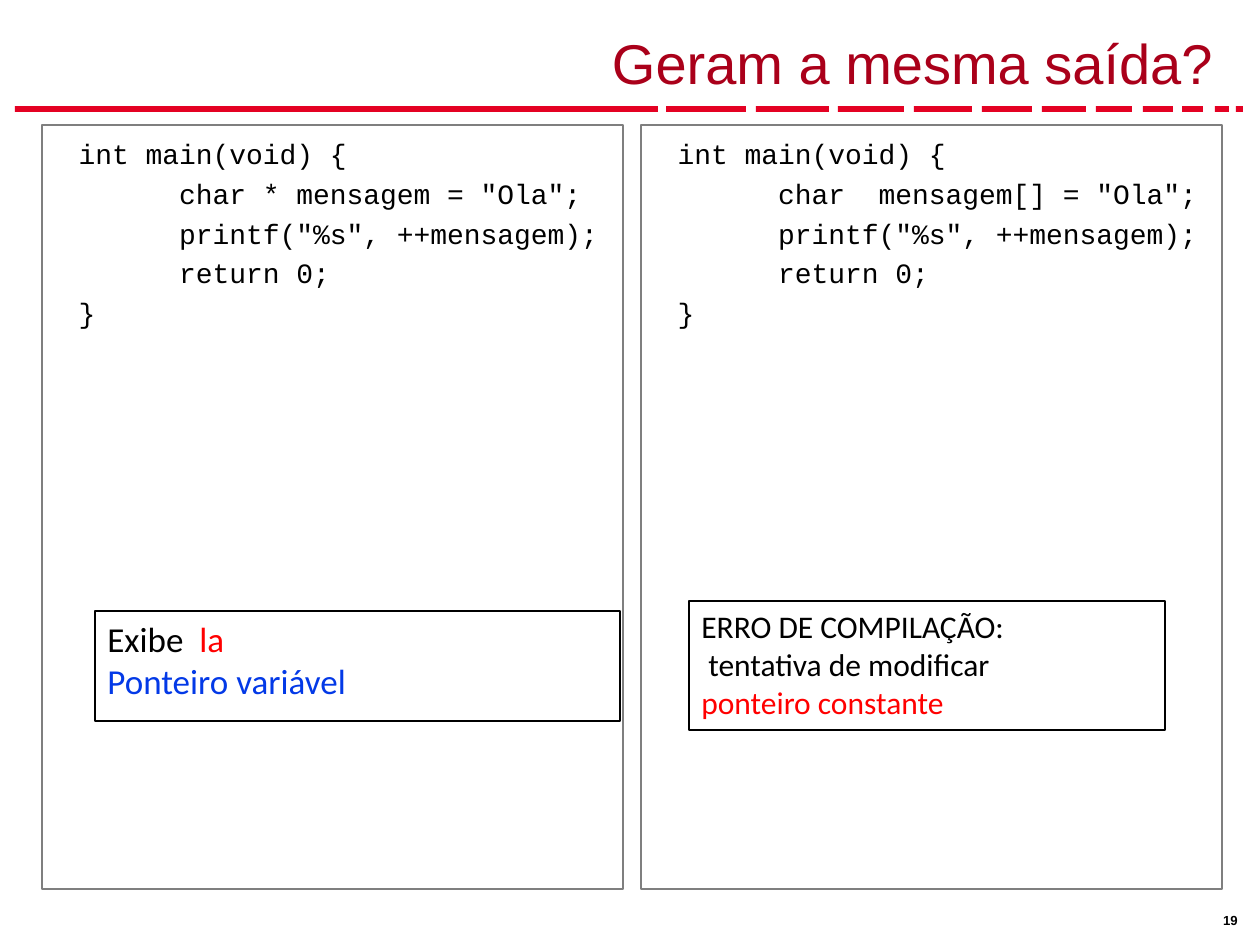
from dataclasses import dataclass

import lxml.etree
import pptx
import pptx.dml.color
import pptx.enum.shapes
import pptx.enum.text
import pptx.oxml.ns
import pptx.shapes.base
import pptx.slide
import pptx.text.text
import pptx.util

RGBColor = pptx.dml.color.RGBColor
BLACK = RGBColor(0x00, 0x00, 0x00)
WHITE = RGBColor(0xFF, 0xFF, 0xFF)
GRAY = RGBColor(0x7F, 0x7F, 0x7F)
RED = RGBColor(0xFF, 0x00, 0x00)
BLUE = RGBColor(0x03, 0x39, 0xE7)
RULE_RED = RGBColor(0xE4, 0x01, 0x23)
TITLE_RED = RGBColor(0xAA, 0x00, 0x1A)

PIXELS_PER_INCH = 126
RECTANGLE = pptx.enum.shapes.MSO_SHAPE.RECTANGLE


@dataclass(frozen=True)
class Box:
    left: int
    top: int
    width: int
    height: int


@dataclass(frozen=True)
class Run:
    text: str
    color: RGBColor = BLACK


@dataclass(frozen=True)
class Line:
    runs: tuple[Run, ...]
    indent: int = 0


@dataclass(frozen=True)
class Answer:
    box: Box
    size: int
    lines: tuple[Line, ...]


@dataclass(frozen=True)
class CodePanel:
    left: int
    declaration: str


RULE_TOP, RULE_HEIGHT = 106, 6
RULE_DASHES = (  # left, width
    (15, 643), (666, 80), (756, 73), (838, 66), (914, 58), (982, 50),
    (1042, 44), (1096, 36), (1143, 30), (1182, 21), (1215, 14), (1236, 7),
)

CODE_PANELS = (
    CodePanel(42, 'char * mensagem = "Ola";'),
    CodePanel(641, 'char  mensagem[] = "Ola";'),
)

ANSWERS = (
    Answer(Box(95, 611, 525, 110), 20, (
        Line((Run("Exibe  "), Run("la", RED))),
        Line((Run("Ponteiro variável", BLUE),)),
    )),
    Answer(Box(689, 601, 476, 129), 18, (
        Line((Run("ERRO DE COMPILAÇÃO:"),)),
        Line((Run("tentativa de modificar"),), indent=7),
        Line((Run("ponteiro constante", RED),)),
    )),
)


def px(pixels: int) -> int:
    return round(pixels * pptx.util.Inches(1) / PIXELS_PER_INCH)


def place(shape: pptx.shapes.base.BaseShape, box: Box) -> None:
    shape.left, shape.top = px(box.left), px(box.top)
    shape.width, shape.height = px(box.width), px(box.height)


def format_font(font: pptx.text.text.Font, name: str, size: float, color: RGBColor) -> None:
    font.name = name
    font.size = pptx.util.Pt(size)
    font.color.rgb = color


def set_indent(paragraph: pptx.text.text._Paragraph, left: int, first_line: int) -> None:
    properties = paragraph._p.get_or_add_pPr()
    properties.set("marL", str(px(left)))
    properties.set("indent", str(px(first_line)))


def add_rectangle(slide: pptx.slide.Slide, box: Box, fill: RGBColor):
    shape = slide.shapes.add_shape(
        RECTANGLE, px(box.left), px(box.top), px(box.width), px(box.height))
    shape.shadow.inherit = False
    shape.fill.solid()
    shape.fill.fore_color.rgb = fill
    shape.line.fill.background()
    return shape


def set_outline(shape, color: RGBColor) -> None:
    shape.line.color.rgb = color
    shape.line.width = pptx.util.Pt(0.75)


def fill_title(slide: pptx.slide.Slide) -> None:
    title = slide.shapes.title
    place(title, Box(39, 10, 1187, 92))
    title.text_frame.text = "Geram a mesma saída?"
    title.text_frame.vertical_anchor = pptx.enum.text.MSO_ANCHOR.BOTTOM
    title.text_frame.auto_size = pptx.enum.text.MSO_AUTO_SIZE.NONE
    paragraph = title.text_frame.paragraphs[0]
    paragraph.alignment = pptx.enum.text.PP_ALIGN.RIGHT
    format_font(paragraph.runs[0].font, "Arial", 32, TITLE_RED)


def fill_code_panel(placeholder, panel: CodePanel) -> None:
    place(placeholder, Box(panel.left, 125, 581, 764))
    set_outline(placeholder, GRAY)
    frame = placeholder.text_frame
    frame.text = "\n".join((
        "int main(void) {",
        "      " + panel.declaration,
        '      printf("%s", ++mensagem);',
        "      return 0;",
        "}",
    ))
    frame.auto_size = pptx.enum.text.MSO_AUTO_SIZE.NONE
    frame.margin_top = px(12)
    for index, paragraph in enumerate(frame.paragraphs):
        set_indent(paragraph, 48, -24)
        paragraph.space_before = pptx.util.Pt(3.4 if index else 0)
        lxml.etree.SubElement(
            paragraph._p.get_or_add_pPr(), pptx.oxml.ns.qn("a:buNone"))
        format_font(paragraph.runs[0].font, "Courier New", 16, BLACK)


def add_answer(slide: pptx.slide.Slide, answer: Answer) -> None:
    shape = add_rectangle(slide, answer.box, WHITE)
    set_outline(shape, BLACK)
    frame = shape.text_frame
    frame.word_wrap = True
    frame.vertical_anchor = pptx.enum.text.MSO_ANCHOR.TOP
    for index, line in enumerate(answer.lines):
        paragraph = frame.add_paragraph() if index else frame.paragraphs[0]
        paragraph.alignment = pptx.enum.text.PP_ALIGN.LEFT
        set_indent(paragraph, line.indent, 0)
        for part in line.runs:
            run = paragraph.add_run()
            run.text = part.text
            format_font(run.font, "Calibri", answer.size, part.color)


def add_page_number(slide: pptx.slide.Slide) -> None:
    text_box = slide.shapes.add_textbox(px(1213), px(907), px(42), px(25))
    frame = text_box.text_frame
    frame.margin_left = frame.margin_right = px(10)
    frame.margin_top = frame.margin_bottom = px(5)
    frame.text = "19"
    font = frame.paragraphs[0].runs[0].font
    format_font(font, "Arial", 7.5, BLACK)
    font.bold = True


def main() -> None:
    presentation = pptx.Presentation()
    presentation.slide_width = px(1260)
    presentation.slide_height = px(945)
    two_content_layout = presentation.slide_layouts[3]
    slide = presentation.slides.add_slide(two_content_layout)

    for left, width in RULE_DASHES:
        add_rectangle(slide, Box(left, RULE_TOP, width, RULE_HEIGHT), RULE_RED)
    add_page_number(slide)
    fill_title(slide)
    for index, panel in enumerate(CODE_PANELS, start=1):
        fill_code_panel(slide.placeholders[index], panel)
    for answer in ANSWERS:
        add_answer(slide, answer)

    presentation.save("out.pptx")


if __name__ == "__main__":
    main()
